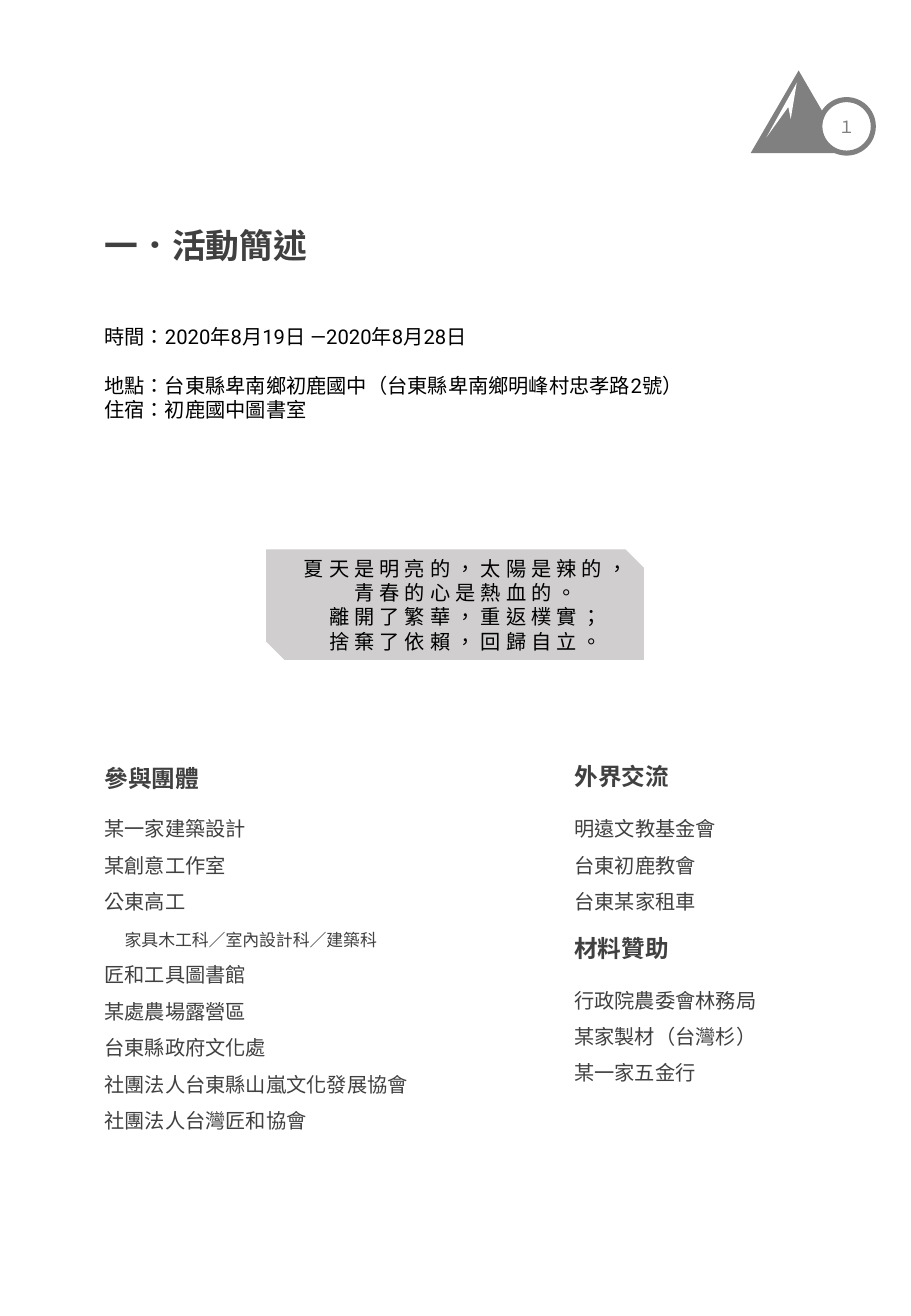
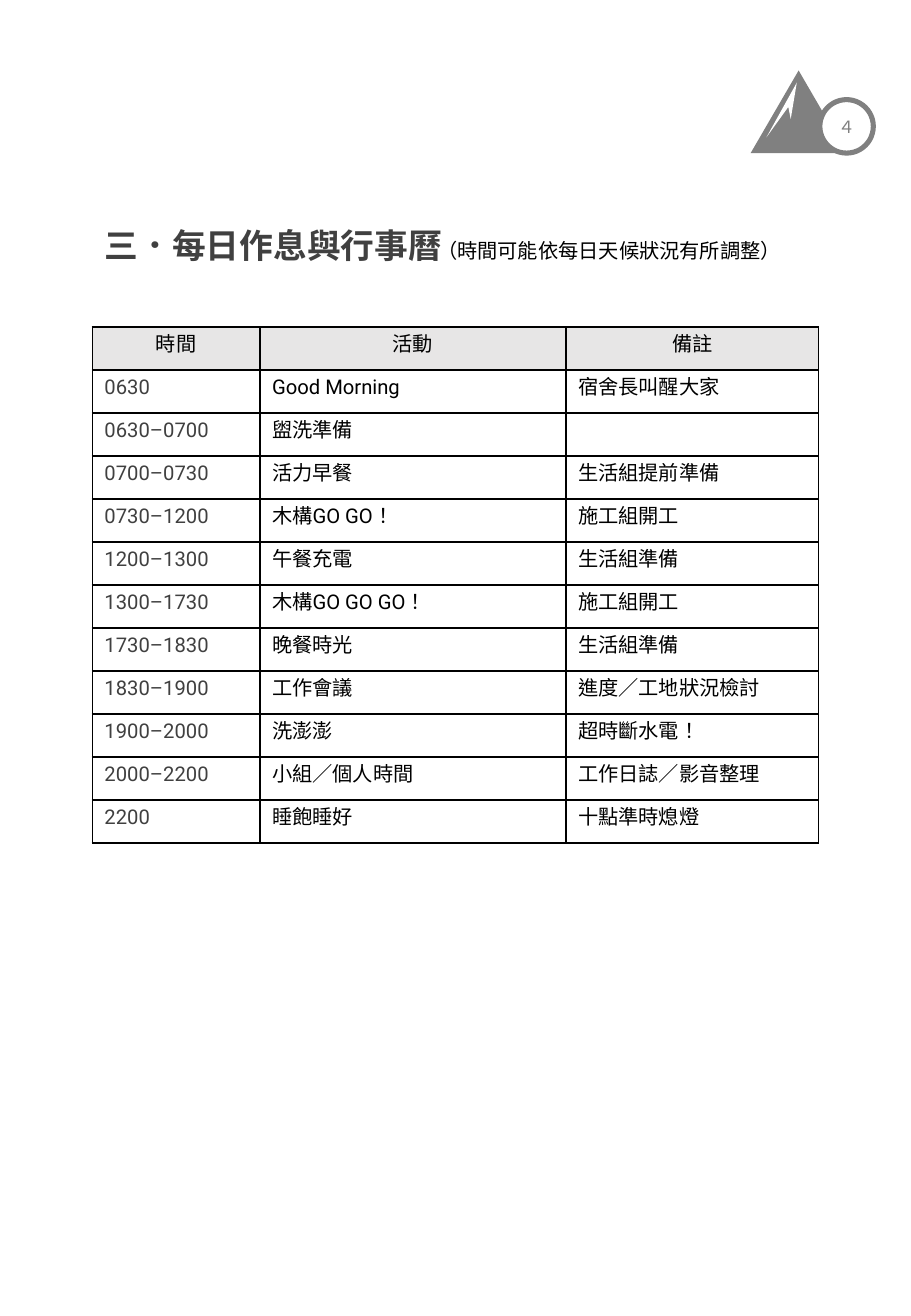
from dataclasses import dataclass

from lxml.etree import SubElement
from pptx import Presentation
from pptx.dml.color import RGBColor
from pptx.enum.shapes import MSO_SHAPE
from pptx.enum.text import MSO_ANCHOR, MSO_AUTO_SIZE, PP_ALIGN
from pptx.oxml.ns import qn
from pptx.util import Inches, Pt


@dataclass(frozen=True)
class Theme:
    font: str = "Roboto"
    ink: str = "000000"
    dark: str = "404040"
    gray: str = "808080"
    band: str = "D0CECE"
    head: str = "E7E6E6"
    white: str = "FFFFFF"
    title: int = 20
    group: int = 14
    body: int = 12
    small: int = 10


T = Theme()
WIDE, HIGH = 7.5, 10.83
LEFT, MID = 0.76, 4.63  # left edges of the two columns
TOP = 1.8               # title row
LIST = 6.57             # first list row

INFO = [
    "時間：2020年8月19日 —2020年8月28日",
    "地點：台東縣卑南鄉初鹿國中（台東縣卑南鄉明峰村忠孝路2號）",
    "住宿：初鹿國中圖書室",
]
POEM = [
    "夏天是明亮的，太陽是辣的，",
    "青春的心是熱血的。",
    "離開了繁華，重返樸實；",
    "捨棄了依賴，回歸自立。",
]
TEAMS = [
    "某一家建築設計",
    "某創意工作室",
    "公東高工",
    "家具木工科／室內設計科／建築科",
    "匠和工具圖書館",
    "某處農場露營區",
    "台東縣政府文化處",
    "社團法人台東縣山嵐文化發展協會",
    "社團法人台灣匠和協會",
]
SUB = 3  # the indented line in TEAMS
LINKS = ["明遠文教基金會", "台東初鹿教會", "台東某家租車"]
GIFTS = ["行政院農委會林務局", "某家製材（台灣杉）", "某一家五金行"]
DAY = [
    ("時間", "活動", "備註"),
    ("0630", "Good Morning", "宿舍長叫醒大家"),
    ("0630–0700", "盥洗準備", ""),
    ("0700–0730", "活力早餐", "生活組提前準備"),
    ("0730–1200", "木構GO GO！", "施工組開工"),
    ("1200–1300", "午餐充電", "生活組準備"),
    ("1300–1730", "木構GO GO GO！", "施工組開工"),
    ("1730–1830", "晚餐時光", "生活組準備"),
    ("1830–1900", "工作會議", "進度／工地狀況檢討"),
    ("1900–2000", "洗澎澎", "超時斷水電！"),
    ("2000–2200", "小組／個人時間", "工作日誌／影音整理"),
    ("2200", "睡飽睡好", "十點準時熄燈"),
]


def rgb(hue):
    return RGBColor.from_string(hue)


def place(shape, box):
    shape.left, shape.top, shape.width, shape.height = map(Inches, box)


def paint(shape, fill, line=None):
    shape.shadow.inherit = False
    shape.fill.solid()
    shape.fill.fore_color.rgb = rgb(fill)
    if line:
        shape.line.color.rgb = rgb(line)
        shape.line.width = Pt(3)
    else:
        shape.line.fill.background()


def style(run, size, hue, bold=False, gap=0):
    font = run.font
    font.name, font.size, font.bold = T.font, Pt(size), bold
    font.color.rgb = rgb(hue)
    props = run._r.get_or_add_rPr()
    props.set("lang", "zh-TW")
    if gap:
        props.set("spc", str(gap * 100))
    props.find(qn("a:latin")).addnext(
        props.makeelement(qn("a:ea"), {"typeface": T.font}))


def write(frame, lines, size=T.body, hue=T.dark, bold=False, gap=0,
          align=PP_ALIGN.LEFT, space=1.0):
    """Set one paragraph per line, without bullets."""
    for num, line in enumerate(lines):
        para = frame.add_paragraph() if num else frame.paragraphs[0]
        para.alignment, para.line_spacing = align, space
        para.space_before = para.space_after = Pt(0)
        props = para._p.get_or_add_pPr()
        props.set("marL", "0")
        props.set("indent", "0")
        SubElement(props, qn("a:buNone"))
        run = para.add_run()
        run.text = line
        style(run, size, hue, bold, gap)
    return frame.paragraphs


def text(shape, box, lines, **look):
    """Move a placeholder or text box and fill it."""
    place(shape, box)
    frame = shape.text_frame
    frame.word_wrap = True
    frame.auto_size = MSO_AUTO_SIZE.NONE
    frame.vertical_anchor = MSO_ANCHOR.TOP
    return write(frame, lines, **look)


def note(slide, box, lines, **look):
    shape = slide.shapes.add_textbox(0, 0, 0, 0)
    return text(shape, box, lines, **look)


def mark(slide, page):
    """Mountain with the page number in a ring."""
    group = slide.shapes.add_group_shape()
    hill = group.shapes.add_shape(MSO_SHAPE.ISOSCELES_TRIANGLE, 0, 0, 0, 0)
    place(hill, (6.18, 0.58, 0.79, 0.68))
    paint(hill, T.gray)
    dots = [(Inches(x), Inches(y)) for x, y in
            [(6.31, 1.13), (6.56, 0.68), (6.51, 0.98), (6.49, 0.88)]]
    pen = group.shapes.build_freeform(*dots[0])
    pen.add_line_segments(dots[1:], close=True)
    paint(pen.convert_to_shape(), T.white)

    ring = slide.shapes.add_shape(MSO_SHAPE.OVAL, 0, 0, 0, 0)
    place(ring, (6.75, 0.82, 0.44, 0.44))
    paint(ring, T.white, T.gray)
    frame = ring.text_frame
    frame.margin_left = frame.margin_right = 0
    frame.margin_top = frame.margin_bottom = 0
    frame.vertical_anchor = MSO_ANCHOR.MIDDLE
    write(frame, [page], T.small, T.gray, align=PP_ALIGN.CENTER)


def start(deck, kind, title, page):
    slide = deck.slides.add_slide(deck.slide_layouts.get_by_name(kind))
    text(slide.shapes.title, (LEFT, TOP, 4, 0.44), [title],
         size=T.title, bold=True)
    mark(slide, page)
    return slide


def verse(slide, box):
    card = slide.shapes.add_shape(MSO_SHAPE.SNIP_2_DIAG_RECTANGLE, 0, 0, 0, 0)
    place(card, box)
    paint(card, T.band)
    frame = card.text_frame
    frame.word_wrap = False
    frame.margin_left, frame.margin_right = Inches(0.18), 0
    frame.vertical_anchor = MSO_ANCHOR.MIDDLE
    write(frame, POEM, hue=T.ink, gap=3, align=PP_ALIGN.CENTER)


def edge(cell):
    """Thin black line on all four sides, ahead of the fill."""
    props = cell._tc.get_or_add_tcPr()
    for num, side in enumerate(("lnL", "lnR", "lnT", "lnB")):
        line = props.makeelement(qn(f"a:{side}"), {"w": str(Pt(1))})
        fill = SubElement(line, qn("a:solidFill"))
        SubElement(fill, qn("a:srgbClr"), val=T.ink)
        props.insert(num, line)


def grid(slide, rows, cols, box):
    table = slide.shapes.add_table(
        len(rows), len(cols), *map(Inches, box)).table
    for col, wide in zip(table.columns, cols):
        col.width = Inches(wide)
    for r, row in enumerate(rows):
        table.rows[r].height = Inches(box[3] / len(rows))
        for c, word in enumerate(row):
            cell = table.cell(r, c)
            cell.fill.solid()
            cell.fill.fore_color.rgb = rgb(T.white if r else T.head)
            edge(cell)
            if word:
                write(cell.text_frame, [word],
                      hue=T.dark if r and not c else T.ink,
                      align=PP_ALIGN.LEFT if r else PP_ALIGN.CENTER)
            else:
                SubElement(cell.text_frame.paragraphs[0]._p,
                           qn("a:endParaRPr"), sz=str(T.body * 100))


def brief(deck):
    slide = start(deck, "Comparison", "一．活動簡述", "１")
    # Time and place
    info = note(slide, (LEFT, 2.62, 5.42, 0.91), INFO, hue=T.ink)
    info[1].space_before = Pt(14.4)
    verse(slide, (2.19, 4.52, 3.11, 0.91))
    # Groups: headings and lists
    hold = slide.placeholders
    head = dict(size=T.group, bold=True)
    text(hold[1], (LEFT, 6.24, 2, 0.34), ["參與團體"], **head)
    text(hold[3], (MID, 6.22, 2, 0.34), ["外界交流"], **head)
    note(slide, (MID, 7.64, 2, 0.34), ["材料贊助"], **head)
    teams = text(hold[2], (LEFT, LIST, 3.2, 2.83), TEAMS, space=1.5)
    text(hold[4], (MID, LIST, 2, 1.01), LINKS, space=1.5)
    note(slide, (MID, 7.98, 2, 1.01), GIFTS, space=1.5)
    # Departments sit one character in, on a full-height line
    sub = teams[SUB]
    sub.runs[0].font.size = Pt(T.small)
    sub.space_before = Pt(3.6)
    sub._p.get_or_add_pPr().set("marL", str(Pt(T.body)))


def daily(deck):
    slide = start(deck, "Title Only", "三．每日作息與行事曆", "４")
    note(slide, (3.5, 1.91, 3.3, 0.3),
         ["（時間可能依每日天候狀況有所調整）"], hue=T.ink)
    grid(slide, DAY, (1.38, 2.52, 2.08), (LEFT, 2.69, 5.98, 4.25))


def main():
    deck = Presentation()
    deck.slide_width, deck.slide_height = Inches(WIDE), Inches(HIGH)
    brief(deck)
    daily(deck)
    deck.save("out.pptx")


if __name__ == "__main__":
    main()
